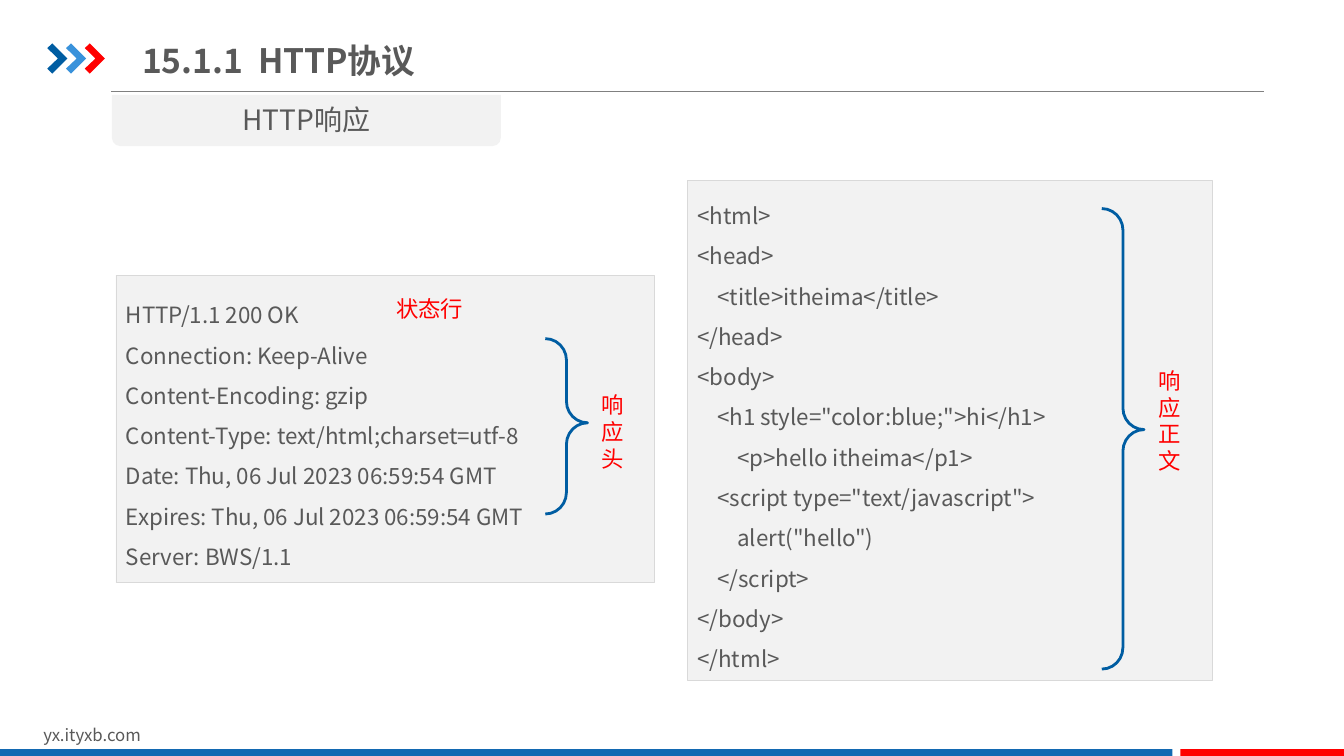
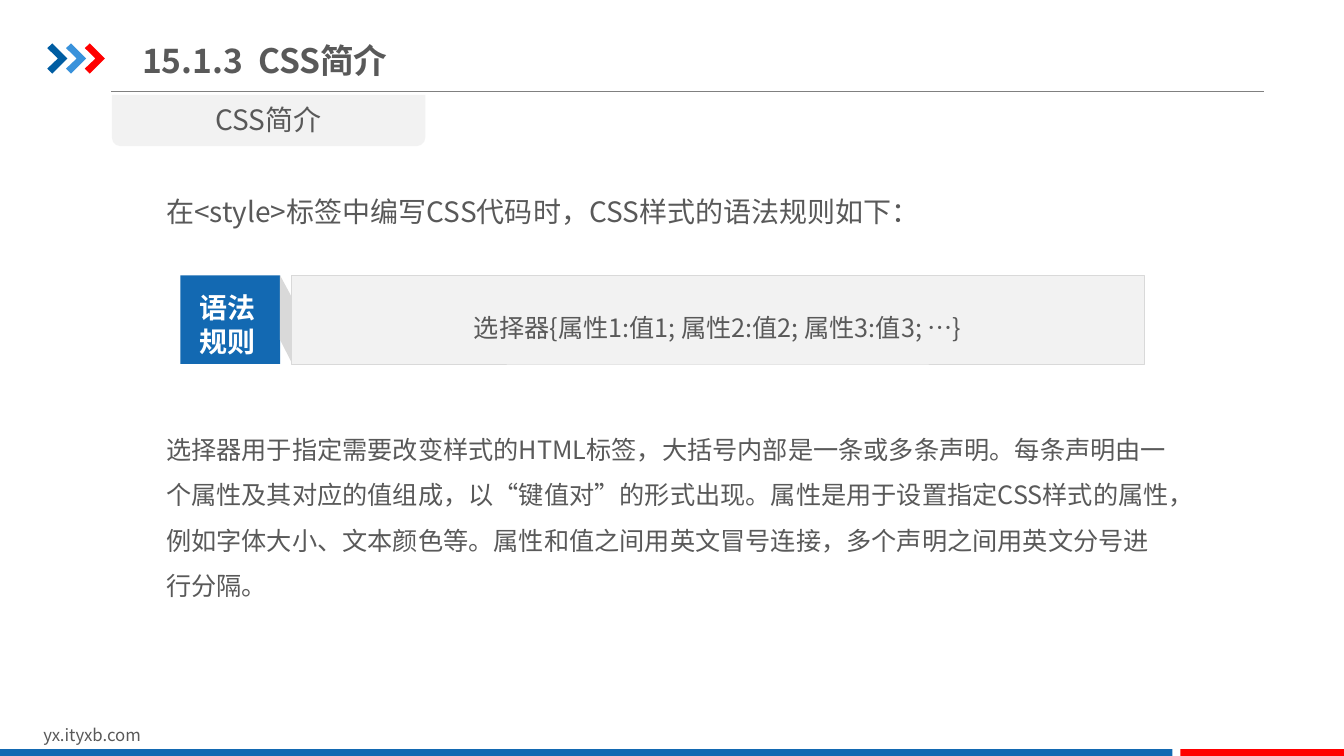
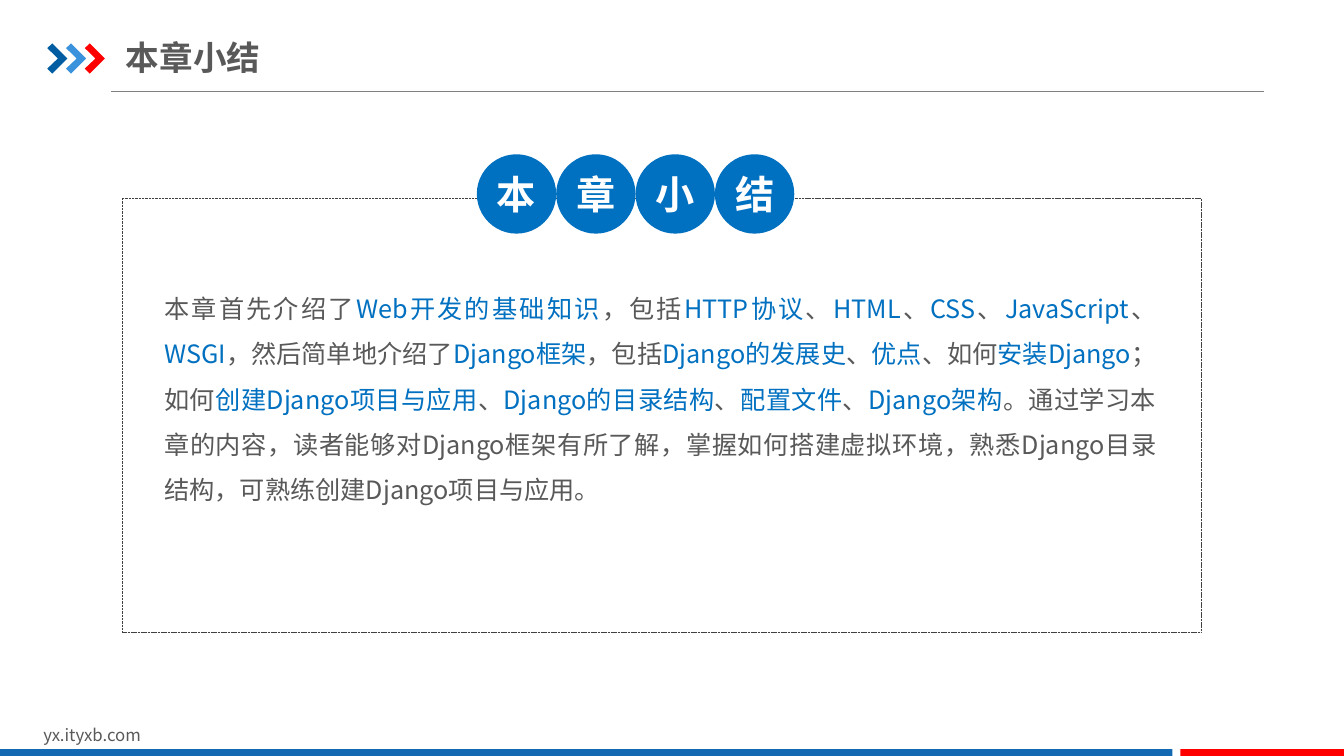
from dataclasses import dataclass

from lxml.etree import SubElement
from pptx import Presentation
from pptx.dml.color import RGBColor
from pptx.enum.dml import MSO_LINE
from pptx.enum.lang import MSO_LANGUAGE_ID
from pptx.enum.shapes import MSO_CONNECTOR, MSO_SHAPE
from pptx.enum.text import MSO_ANCHOR, MSO_AUTO_SIZE, PP_ALIGN
from pptx.oxml.ns import qn
from pptx.util import Pt


@dataclass(frozen=True)
class Theme:
    font: str = "Noto Sans CJK SC"
    ink: str = "595959"
    white: str = "FFFFFF"
    panel: str = "F2F2F2"
    edge: str = "D9D9D9"
    rule: str = "808080"
    dash: str = "404040"
    blue: str = "1369B2"
    navy: str = "005DA2"
    sky: str = "3992DB"
    key: str = "0070C0"
    red: str = "FF0000"
    foot: float = 12
    code: float = 16
    body: float = 18
    lead: float = 20
    title: float = 24
    badge: float = 28


T = Theme()
LEFT, MID, JUST = PP_ALIGN.LEFT, PP_ALIGN.CENTER, PP_ALIGN.JUSTIFY
INSET = (7.2, 3.6, 7.2, 3.6)

SITE = "yx.ityxb.com"
HEADER = [
    "HTTP/1.1 200 OK",
    "Connection: Keep-Alive",
    "Content-Encoding: gzip",
    "Content-Type: text/html;charset=utf-8",
    "Date: Thu, 06 Jul 2023 06:59:54 GMT",
    "Expires: Thu, 06 Jul 2023 06:59:54 GMT",
    "Server: BWS/1.1",
]
HTML = [
    "<html>",
    "<head>",
    "    <title>itheima</title>",
    "</head>",
    "<body>",
    '    <h1 style="color:blue;">hi</h1>',
    "        <p>hello itheima</p1>",
    '    <script type="text/javascript">',
    '        alert("hello")',
    "    </script>",
    "</body>",
    "</html>",
]
# Each panel: box, lines
PANELS = [
    ((82.8, 196.6, 384.5, 219.6), HEADER),
    ((491, 128.9, 375.1, 357.1), HTML),
]
BRACES = [(389.5, 241.9, 30.2, 125.3), (787, 149, 30.2, 329)]
MARKS = [
    ("状态行", (275.8, 207.4, 78.5, 26.6)),
    ("响应头", (422.6, 275.8, 32.4, 91.4)),
    ("响应正文", (820.1, 258.5, 32.4, 91.4)),
]

LEAD = "在<style>标签中编写CSS代码时，CSS样式的语法规则如下："
LABEL = ["语法", "规则"]
SYNTAX = "选择器{属性1:值1; 属性2:值2; 属性3:值3; …}"
DETAIL = (
    "选择器用于指定需要改变样式的HTML标签，大括号内部是一条或多条声明。"
    "每条声明由一个属性及其对应的值组成，以“键值对”的形式出现。"
    "属性是用于设置指定CSS样式的属性，例如字体大小、文本颜色等。"
    "属性和值之间用英文冒号连接，多个声明之间用英文分号进行分隔。"
)

BADGES = "本章小结"
# Plain and highlighted pieces take turns
SUMMARY = [
    "本章首先介绍了", "Web开发的基础知识", "，包括", "HTTP协议", "、", "HTML",
    "、", "CSS", "、", "JavaScript", "、", "WSGI", "，然后简单地介绍了",
    "Django框架", "，包括", "Django的发展史", "、", "优点", "、如何",
    "安装Django", "；如何", "创建Django项目与应用", "、", "Django的目录结构",
    "、", "配置文件", "、", "Django架构",
    "。通过学习本章的内容，读者能够对Django框架有所了解，掌握如何搭建虚拟环境，"
    "熟悉Django目录结构，可熟练创建Django项目与应用。",
]


def rgb(tone):
    return RGBColor.from_string(tone)


def pts(*vals):
    return [Pt(v) for v in vals]


def write(frame, paras, size, tone=T.ink, bold=False, align=LEFT, space=None,
          anchor=MSO_ANCHOR.TOP, inset=INSET):
    """Fill a frame; a paragraph is a string or a list of (text, colour)."""
    frame.word_wrap = True
    frame.auto_size = MSO_AUTO_SIZE.NONE
    frame.vertical_anchor = anchor
    (frame.margin_left, frame.margin_top,
     frame.margin_right, frame.margin_bottom) = pts(*inset)
    for i, para in enumerate(paras):
        p = frame.paragraphs[0] if i == 0 else frame.add_paragraph()
        p.alignment = align
        if space:
            p.line_spacing = space
        for text, color in [(para, tone)] if isinstance(para, str) else para:
            run = p.add_run()
            run.text = text
            font = run.font
            font.size, font.bold, font.name = Pt(size), bold, T.font
            font.color.rgb = rgb(color)
            font.language_id = MSO_LANGUAGE_ID.SIMPLIFIED_CHINESE
            props = run._r.get_or_add_rPr()
            SubElement(props, qn("a:ea")).set("typeface", T.font)


def label(slide, box, paras, size, **style):
    shape = slide.shapes.add_textbox(*pts(*box))
    write(shape.text_frame, paras, size, **style)
    return shape


def paint(shape, fill=None, line=None, width=0.25):
    shape.shadow.inherit = False
    if fill:
        shape.fill.solid()
        shape.fill.fore_color.rgb = rgb(fill)
    else:
        shape.fill.background()
    if line:
        shape.line.color.rgb = rgb(line)
        shape.line.width = Pt(width)
    else:
        shape.line.fill.background()
    return shape


def draw(slide, kind, box, *look):
    return paint(slide.shapes.add_shape(kind, *pts(*box)), *look)


def outline(slide, x, y, dots, fill):
    """Draw a closed shape from corners given relative to x, y."""
    spots = [pts(x + dx, y + dy) for dx, dy in dots]
    pen = slide.shapes.build_freeform(*spots[0])
    pen.add_line_segments(spots[1:], close=True)
    return paint(pen.convert_to_shape(), fill)


def panel(slide, box, paras, size, align=LEFT):
    shape = draw(slide, MSO_SHAPE.RECTANGLE, box, T.panel, T.edge)
    write(shape.text_frame, paras, size, align=align, space=1.5,
          anchor=MSO_ANCHOR.MIDDLE)


def brand(slide, layout):
    """Draw the shared frame and move it to the layout."""
    for ph in list(layout.placeholders):
        if ph.placeholder_format.idx:
            ph.element.getparent().remove(ph.element)
    rule = slide.shapes.add_connector(
        MSO_CONNECTOR.STRAIGHT, *pts(79.2, 65.5, 902.9, 65.5))
    rule.line.color.rgb, rule.line.width = rgb(T.rule), Pt(0.75)
    SubElement(rule.element.spPr, qn("a:effectLst"))
    arrow = [(0, 3.4), (3.6, 0), (14.4, 10.8), (3.6, 21.6), (0, 18), (7.6, 10.8)]
    parts = [rule]
    for i, tone in enumerate([T.navy, T.sky, T.red]):
        parts.append(outline(slide, 33.8 + 13.4 * i, 31, arrow, tone))
    parts.append(label(slide, (23.8, 514, 229, 21.6), [SITE], T.foot))
    for x, wide, tone in [(0, 837.4, T.blue), (843.1, 116.9, T.red)]:
        parts.append(draw(slide, MSO_SHAPE.RECTANGLE, (x, 535, wide, 6.5), tone))
    for part in parts:
        layout.shapes.element.append(part.element)


def head(slide, text, box=(94.3, 20.9, 389.5, 43.9), inset=INSET):
    title = slide.shapes.title
    title.left, title.top, title.width, title.height = pts(*box)
    write(title.text_frame, [text], T.title, bold=True,
          anchor=MSO_ANCHOR.MIDDLE, inset=inset)
    if "\t" in text:
        props = title.text_frame.paragraphs[0]._p.get_or_add_pPr()
        tabs = SubElement(props, qn("a:tabLst"))
        SubElement(tabs, qn("a:tab"), pos=str(Pt(82.8)), algn="l")


def topic(slide, text, wide):
    tab = draw(slide, MSO_SHAPE.ROUND_2_SAME_RECTANGLE,
               (79.9, 67.7, wide, 36.7), T.panel)
    tab.adjustments[0], tab.adjustments[1] = 0, 0.17
    write(tab.text_frame, [text], T.lead, align=MID, anchor=MSO_ANCHOR.MIDDLE)


def reply(slide):
    head(slide, "15.1.1\tHTTP协议")
    topic(slide, "HTTP响应", 277.9)
    for box, lines in PANELS:
        panel(slide, box, lines, T.code)
    for box in BRACES:
        brace = draw(slide, MSO_SHAPE.RIGHT_BRACE, box, None, T.navy, 2)
        brace.adjustments[0], brace.adjustments[1] = 0.51, 0.48
    for text, box in MARKS:
        label(slide, box, [text], T.code, tone=T.red)


def css(slide):
    head(slide, "15.1.3\tCSS简介")
    topic(slide, "CSS简介", 223.9)
    label(slide, (111.6, 123.1, 731.5, 43.2), [LEAD], T.lead, space=1.5)
    top, high = 196.6, 63.4
    panel(slide, (208.1, top, 609.1, high), [SYNTAX], T.body, MID)
    block = draw(slide, MSO_SHAPE.RECTANGLE, (128.9, top, 71.3, high), T.blue)
    write(block.text_frame, LABEL, T.lead, tone=T.white, bold=True, align=MID,
          inset=(3, 10.8, 7.3, 0))
    fold = [(0, 0), (8.1, 15.1), (8.1, 61.9), (0, 46.1)]
    outline(slide, 200, top, fold, T.edge)
    label(slide, (111.6, 295.9, 731.5, 138.2), [DETAIL], T.body, space=1.5)


def recap(slide):
    head(slide, "本章小结", (90, 20.9, 446.4, 39.6), (0, 5, 0, 5))
    frame = draw(slide, MSO_SHAPE.RECTANGLE, (87.1, 141.8, 771.1, 309.6),
                 None, T.dash)
    frame.line.dash_style = MSO_LINE.SQUARE_DOT
    runs = [(t, T.key if i % 2 else T.ink) for i, t in enumerate(SUMMARY)]
    label(slide, (117.4, 198.7, 708.5, 163.4), [runs], T.body, align=JUST,
          space=1.5, inset=(0, 0, 0, 0))
    size = 56.7
    for i, char in enumerate(BADGES):
        disc = draw(slide, MSO_SHAPE.OVAL,
                    (340.6 + size * i, 110.2, size, size), T.key)
        write(disc.text_frame, [char], T.badge, tone=T.white, bold=True,
              align=MID, anchor=MSO_ANCHOR.MIDDLE, inset=(0, 0, 0, 0))


def main():
    deck = Presentation()
    deck.slide_width, deck.slide_height = pts(960, 540)
    layout = deck.slide_layouts[5]
    for i, build in enumerate([reply, css, recap]):
        slide = deck.slides.add_slide(layout)
        if i == 0:
            brand(slide, layout)
        build(slide)
    deck.save("out.pptx")


if __name__ == "__main__":
    main()
